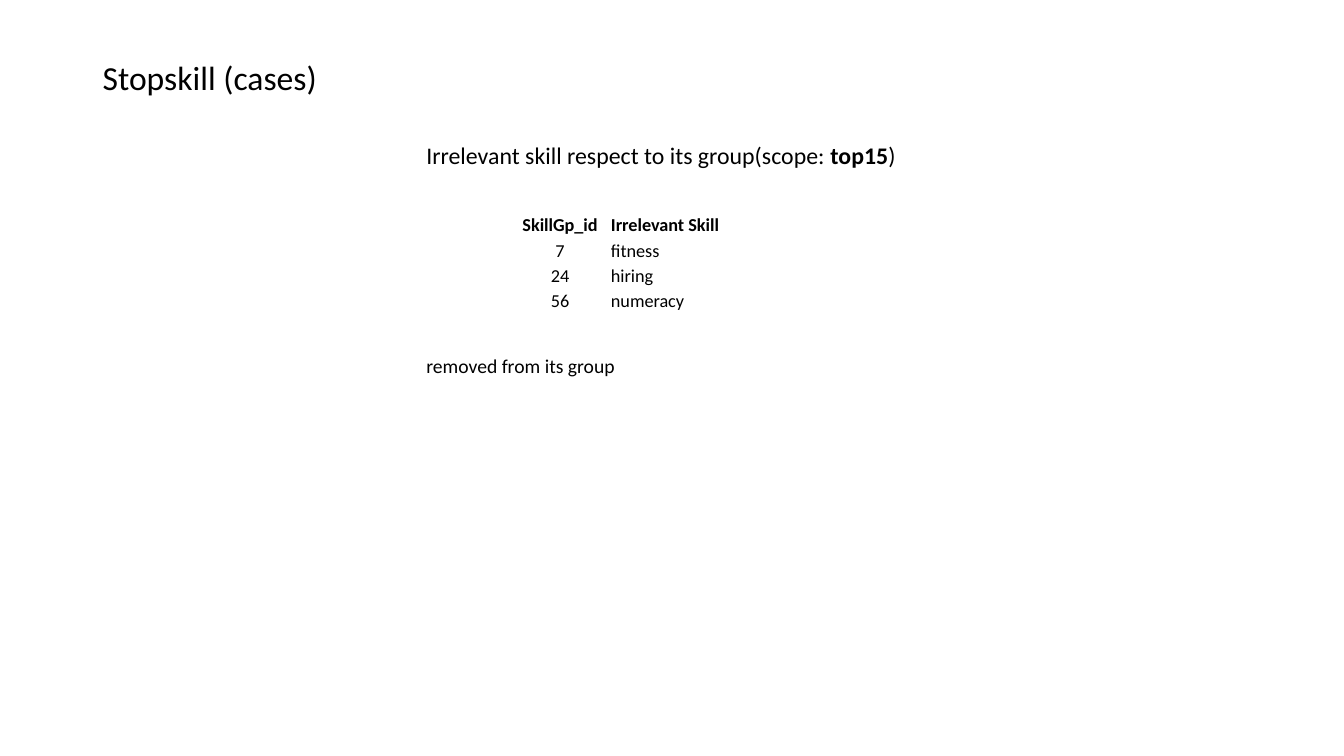
"""Build the slide listing stopskill cases removed from their skill groups."""
from pptx import Presentation
from pptx.dml.color import RGBColor
from pptx.enum.text import MSO_ANCHOR, PP_ALIGN
from pptx.util import Inches, Pt


def style_run(run, size, bold=False, color="000000"):
    run.font.name = "Calibri"
    run.font.size = Pt(size)
    run.font.bold = bold
    run.font.color.rgb = RGBColor.from_string(color)


def add_text(slide, box, pieces, size, spacing=1.0, wrap=True):
    shape = slide.shapes.add_textbox(*[Inches(length) for length in box])
    shape.text_frame.word_wrap = wrap
    shape.text_frame.vertical_anchor = MSO_ANCHOR.MIDDLE
    paragraph = shape.text_frame.paragraphs[0]
    paragraph.line_spacing = spacing
    for text, bold in pieces:
        run = paragraph.add_run()
        run.text = text
        style_run(run, size, bold)


presentation = Presentation()
presentation.slide_width = Inches(13.33)
presentation.slide_height = Inches(7.5)
slide = presentation.slides.add_slide(presentation.slide_layouts[6])

content_left = 4.13
add_text(slide, (0.92, 0.4, 11.5, 0.77), [("Stopskill (cases)", False)], 24, 0.9)

skills = [
    ("SkillGp_id", "Irrelevant Skill"),
    ("7", "fitness"),
    ("24", "hiring"),
    ("56", "numeracy"),
]
column_widths = (0.99, 2.22)
row_height = 0.25
table = slide.shapes.add_table(
    len(skills), len(column_widths), Inches(5.06), Inches(2.1),
    Inches(sum(column_widths)), Inches(row_height * len(skills)),
).table
table.first_row = False
table.horz_banding = False
for column, width in zip(table.columns, column_widths):
    column.width = Inches(width)

for row_index, texts in enumerate(skills):
    for column_index, text in enumerate(texts):
        cell = table.cell(row_index, column_index)
        cell.fill.background()
        cell.vertical_anchor = MSO_ANCHOR.BOTTOM
        cell.margin_left = cell.margin_right = cell.margin_top = Inches(0.01)
        cell.margin_bottom = 0
        cell.text_frame.text = text
        paragraph = cell.text_frame.paragraphs[0]
        paragraph.alignment = PP_ALIGN.LEFT if column_index else PP_ALIGN.CENTER
        style_run(paragraph.runs[0], 13, bold=row_index == 0)

scope = [
    ("Irrelevant skill respect to its group(scope: ", False),
    ("top15", True),
    (")", False),
]
add_text(slide, (content_left, 1.39, 5.08, 0.35), scope, 17, 0.8)
add_text(slide, (content_left, 3.46, 2.16, 0.34),
         [("removed from its group", False)], 14, wrap=False)

presentation.save("out.pptx")
